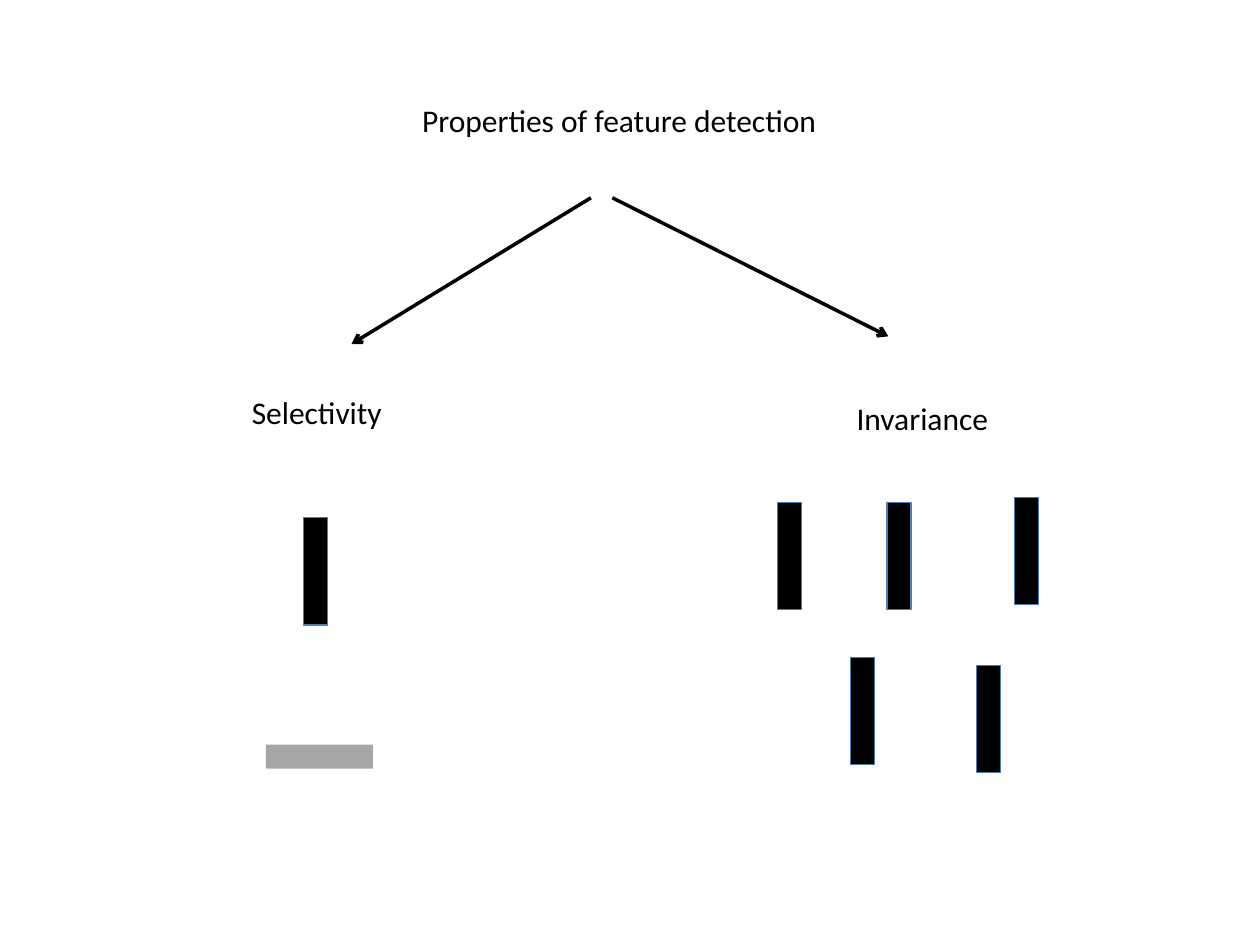
from lxml import etree
from pptx import Presentation
from pptx.dml.color import RGBColor
from pptx.enum.shapes import MSO_CONNECTOR, MSO_SHAPE
from pptx.enum.text import MSO_ANCHOR, MSO_AUTO_SIZE, PP_ALIGN
from pptx.oxml.ns import qn
from pptx.util import Inches, Pt

RECT = MSO_SHAPE.RECTANGLE
LINE = MSO_CONNECTOR.STRAIGHT
LEFT = PP_ALIGN.LEFT
TOP = MSO_ANCHOR.TOP
GROW = MSO_AUTO_SIZE.SHAPE_TO_FIT_TEXT

COLORS = {"ink": "000000", "edge": "4B7EBC", "gray": "A6A6A6"}
TITLE = ("Properties of feature detection", 3.25, 0.75, 3.58)
LABELS = [("Selectivity", 1.9, 3.07, 1.34), ("Invariance", 6.7, 3.12, 1.37)]
ARROWS = [(4.69, 1.57, 2.79, 2.73), (4.86, 1.57, 7.05, 2.67)]
BARS = [(2.41, 4.11), (6.17, 3.99), (7.04, 3.99), (8.05, 3.95),
        (6.75, 5.22), (7.75, 5.28)]
FLAT = (2.11, 5.91)
THIN, LONG = 0.19, 0.85
ROW = 0.4


def color(name):
    return RGBColor.from_string(COLORS[name])


def write(box, text, left, top, width):
    box.left, box.top = Inches(left), Inches(top)
    box.width, box.height = Inches(width), Inches(ROW)
    frame = box.text_frame
    frame.text = text
    frame.word_wrap = False
    frame.auto_size = GROW
    frame.vertical_anchor = TOP
    para = frame.paragraphs[0]
    para.alignment = LEFT
    para.font.name = "Calibri"
    para.font.size = Pt(18)
    para.font.color.rgb = color("ink")


def arrow(slide, ends):
    line = slide.shapes.add_connector(LINE, *map(Inches, ends))
    line.line.color.rgb = color("ink")
    line.line.width = Pt(2)
    etree.SubElement(line.line._get_or_add_ln(), qn("a:tailEnd"), type="arrow")
    etree.SubElement(line._element.spPr, qn("a:effectLst"))


def bar(slide, spot, size, fill, edge=None):
    shape = slide.shapes.add_shape(RECT, *map(Inches, spot + size))
    shape.shadow.inherit = False
    shape.fill.solid()
    shape.fill.fore_color.rgb = color(fill)
    if edge:
        shape.line.color.rgb = color(edge)
        shape.line.width = Pt(0.75)
    else:
        shape.line.fill.background()


def main():
    deck = Presentation()
    deck.slide_width, deck.slide_height = Inches(10), Inches(7.5)
    slide = deck.slides.add_slide(deck.slide_layouts[5])
    write(slide.shapes.title, *TITLE)
    for label in LABELS:
        write(slide.shapes.add_textbox(0, 0, 0, 0), *label)
    for ends in ARROWS:
        arrow(slide, ends)
    for spot in BARS:
        bar(slide, spot, (THIN, LONG), "ink", "edge")
    bar(slide, FLAT, (LONG, THIN), "gray")
    deck.save("out.pptx")


if __name__ == "__main__":
    main()
